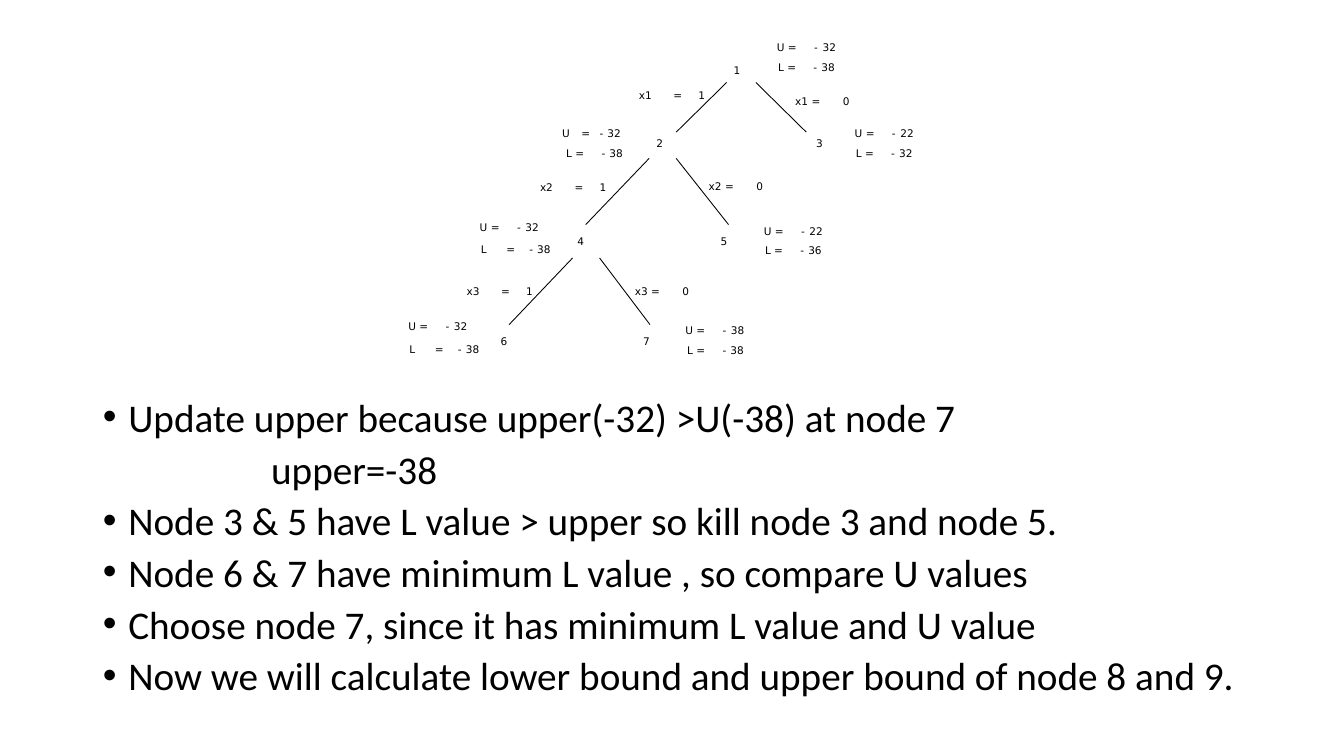
from pptx import Presentation
from pptx.dml.color import RGBColor
from pptx.enum.shapes import MSO_CONNECTOR
from pptx.enum.text import MSO_ANCHOR, MSO_AUTO_SIZE
from pptx.oxml.ns import qn
from pptx.util import Cm, Pt
from lxml.etree import SubElement

BLACK = RGBColor(0x00, 0x00, 0x00)
WHITE = RGBColor(0xFF, 0xFF, 0xFF)

# Text of each line, and whether it carries a bullet
STEPS = [
    ("Update upper because upper(-32) >U(-38) at node 7", True),
    ("upper=-38", False),
    ("Node 3 & 5 have L value > upper so kill node 3 and node 5.", True),
    ("Node 6 & 7 have minimum L value , so compare U values", True),
    ("Choose node 7, since it has minimum L value and U value", True),
    ("Now we will calculate lower bound and upper bound of node 8 and 9.", True),
]

# Label forms: text pattern and tab stops in cm
U_TIGHT = ("U =\t-\t{}", (0.94, 1.15))
U_WIDE = ("U\t=\t-\t{}", (0.48, 0.94, 1.14))
L_TIGHT = ("L =\t-\t{}", (0.89, 1.09))
L_WIDE = ("L\t=\t-\t{}", (0.64, 1.22, 1.42))
TAKEN = ("{}\t=\t1", (0.87, 1.5))
SKIPPED = ("{} =\t0", (1.2,))

# Node, its place, place of its bounds, U form and value,
# L form and value, shift from U to L (all in cm)
NODES = [
    ("1", (18.49, 1.6), (19.58, 1.02), U_TIGHT, 32, L_TIGHT, 38, (0.03, 0.49)),
    ("2", (16.54, 3.43), (14.17, 3.18), U_WIDE, 32, L_TIGHT, 38, (0.1, 0.5)),
    ("3", (20.57, 3.43), (21.54, 3.18), U_TIGHT, 22, L_TIGHT, 32, (0.03, 0.5)),
    ("4", (14.55, 5.89), (12.09, 5.54), U_TIGHT, 32, L_WIDE, 38, (0.03, 0.56)),
    ("5", (18.16, 5.89), (19.25, 5.64), U_TIGHT, 22, L_TIGHT, 36, (0.03, 0.49)),
    ("6", (12.62, 8.41), (10.29, 8.05), U_TIGHT, 32, L_WIDE, 38, (0.03, 0.56)),
    ("7", (16.21, 8.41), (17.27, 8.15), U_TIGHT, 38, L_TIGHT, 38, (0.05, 0.49)),
]

# Variable, form, upper end, lower end, place of the label (cm)
BRANCHES = [
    ("x1", TAKEN, (18.31, 2.08), (17.04, 3.33), (16.1, 2.21)),
    ("x1", SKIPPED, (19.05, 2.08), (20.32, 3.33), (20.04, 2.36)),
    ("x2", TAKEN, (16.36, 3.99), (14.76, 5.66), (13.61, 4.55)),
    ("x2", SKIPPED, (17.04, 3.99), (18.36, 5.66), (17.86, 4.52)),
    ("x3", TAKEN, (14.43, 6.5), (12.83, 8.18), (11.76, 7.16)),
    ("x3", SKIPPED, (15.11, 6.5), (16.38, 8.18), (16, 7.16)),
]

LABEL_HEIGHT = 0.5
NUMBER_WIDTH = 0.36
LAST_PIECE_WIDTH = 0.76


def style_runs(paragraph, font_name, size):
    for run in paragraph.runs:
        run.font.name = font_name
        run.font.size = Pt(size)
        run.font.color.rgb = BLACK


def add_label(slide, place, text, stops=()):
    """Add a small tree label whose tabs stop at the given distances."""
    width = stops[-1] + LAST_PIECE_WIDTH if stops else NUMBER_WIDTH
    label = slide.shapes.add_textbox(
        Cm(place[0]), Cm(place[1]), Cm(width), Cm(LABEL_HEIGHT))
    frame = label.text_frame
    frame.word_wrap = True
    frame.margin_left = frame.margin_right = 0
    frame.margin_top = frame.margin_bottom = 0
    frame.text = text
    paragraph = frame.paragraphs[0]
    if stops:
        tabs = SubElement(paragraph._p.get_or_add_pPr(), qn("a:tabLst"))
        for stop in stops:
            SubElement(tabs, qn("a:tab"), pos=str(Cm(stop)), algn="l")
    paragraph.line_spacing = 1.07
    style_runs(paragraph, "DejaVu Sans", 7.5)


def add_branch(slide, start, end):
    branch = slide.shapes.add_connector(
        MSO_CONNECTOR.STRAIGHT, *(Cm(value) for value in start + end))
    branch.line.color.rgb = BLACK
    branch.line.width = Pt(0.61)
    SubElement(branch._element.spPr, qn("a:effectLst"))


def fill_steps(body):
    body.left, body.top = Cm(2.34), Cm(10.01)
    body.width, body.height = Cm(29.21), Cm(8)
    frame = body.text_frame
    frame.word_wrap = True
    frame.auto_size = MSO_AUTO_SIZE.NONE
    frame.vertical_anchor = MSO_ANCHOR.TOP
    frame.text = "\n".join(text for text, _ in STEPS)
    for index, (paragraph, (_, bulleted)) in enumerate(zip(frame.paragraphs, STEPS)):
        properties = paragraph._p.get_or_add_pPr()
        indent = 0.64 if bulleted else 0
        properties.set("marL", str(Cm(0.64 if bulleted else 4.24)))
        properties.set("indent", str(-Cm(indent)))
        if bulleted:
            SubElement(properties, qn("a:buFont"), typeface="Arial")
            SubElement(properties, qn("a:buChar"), char="•")
        else:
            SubElement(properties, qn("a:buNone"))
        paragraph.line_spacing = 0.8
        paragraph.space_before = Pt(10 if index else 0)
        style_runs(paragraph, "Calibri", 28)


def main():
    deck = Presentation()
    deck.slide_width, deck.slide_height = Cm(33.87), Cm(19.05)
    slide = deck.slides.add_slide(deck.slide_layouts[1])
    slide.background.fill.solid()
    slide.background.fill.fore_color.rgb = WHITE
    title = slide.shapes.title._element
    title.getparent().remove(title)
    fill_steps(slide.placeholders[1])

    for variable, (pattern, stops), start, end, place in BRANCHES:
        add_branch(slide, start, end)
        add_label(slide, place, pattern.format(variable), stops)
    for node, place, bounds, u_form, upper, l_form, lower, shift in NODES:
        add_label(slide, place, node)
        add_label(slide, bounds, u_form[0].format(upper), u_form[1])
        below = (bounds[0] + shift[0], bounds[1] + shift[1])
        add_label(slide, below, l_form[0].format(lower), l_form[1])

    deck.save("out.pptx")


if __name__ == "__main__":
    main()
